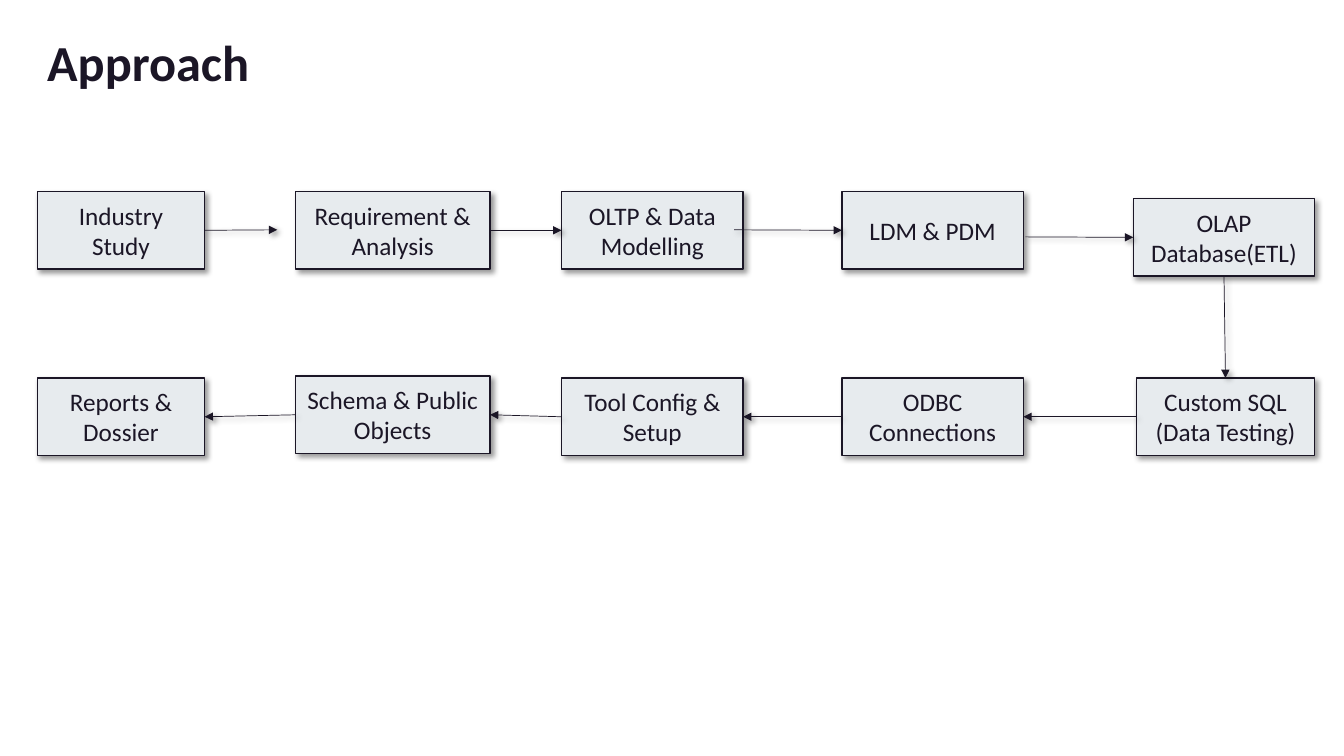
from dataclasses import dataclass

from pptx import Presentation
from pptx.dml.color import RGBColor
from pptx.enum.shapes import MSO_CONNECTOR, MSO_SHAPE
from pptx.enum.text import MSO_ANCHOR, PP_ALIGN
from pptx.oxml import parse_xml
from pptx.oxml.ns import nsdecls
from pptx.oxml.xmlchemy import BaseOxmlElement
from pptx.shapes.autoshape import Shape
from pptx.slide import Slide
from pptx.text.text import _Paragraph
from pptx.util import Emu, Pt

EMU_PER_PX = 9144
INK = RGBColor(0x1B, 0x16, 0x26)
PANEL = RGBColor(0xE7, 0xEB, 0xEE)
FONT = "Calibri"
TOP, LEFT, BOTTOM, RIGHT = range(4)
STEP_HEIGHT = 77
UPPER_ROW, LOWER_ROW = 190, 375


@dataclass(frozen=True)
class Step:
    name: str
    left: int
    top: int
    width: int
    lines: tuple[str, ...]


@dataclass(frozen=True)
class Joint:
    step: str
    side: int


@dataclass(frozen=True)
class Point:
    x: int
    y: int


@dataclass(frozen=True)
class Arrow:
    start: Joint | Point
    end: Joint | Point


STEPS = (
    Step("study", 37, UPPER_ROW, 166, ("Industry Study",)),
    Step("requirement", 293, UPPER_ROW, 193, ("Requirement & Analysis",)),
    Step("oltp", 557, UPPER_ROW, 180, ("OLTP & Data Modelling",)),
    Step("ldm", 835, UPPER_ROW, 180, ("LDM & PDM",)),
    Step("olap", 1124, 197, 180, ("OLAP Database(ETL)",)),
    Step("sql", 1127, LOWER_ROW, 177, ("Custom SQL", "(Data Testing)")),
    Step("odbc", 835, LOWER_ROW, 180, ("ODBC Connections",)),
    Step("config", 557, LOWER_ROW, 180, ("Tool Config & Setup",)),
    Step("schema", 293, 373, 193, ("Schema & Public Objects",)),
    Step("reports", 37, LOWER_ROW, 166, ("Reports & Dossier",)),
)

ARROWS = (
    Arrow(Joint("study", RIGHT), Point(275, 228)),
    Arrow(Joint("requirement", RIGHT), Joint("oltp", LEFT)),
    Arrow(Point(728, 228), Joint("ldm", LEFT)),
    Arrow(Point(1017, 235), Joint("olap", LEFT)),
    Arrow(Joint("olap", BOTTOM), Joint("sql", TOP)),
    Arrow(Joint("sql", LEFT), Joint("odbc", RIGHT)),
    Arrow(Joint("odbc", LEFT), Joint("config", RIGHT)),
    Arrow(Joint("config", LEFT), Joint("schema", RIGHT)),
    Arrow(Joint("schema", LEFT), Joint("reports", RIGHT)),
)


def px(length: int) -> Emu:
    return Emu(length * EMU_PER_PX)


def add_shadow(properties: BaseOxmlElement) -> None:
    properties.append(parse_xml(
        f'<a:effectLst {nsdecls("a")}>'
        '<a:outerShdw blurRad="50800" dist="38100" dir="2700000" algn="tl" rotWithShape="0">'
        '<a:srgbClr val="000000"><a:alpha val="40000"/></a:srgbClr>'
        '</a:outerShdw></a:effectLst>'
    ))


def add_span(para: _Paragraph, text: str, size: int, bold: bool = False) -> None:
    span = para.add_run()
    span.text = text
    span.font.name = FONT
    span.font.size = Pt(size)
    span.font.bold = bold
    span.font.color.rgb = INK


def add_title(page: Slide, text: str) -> None:
    box = page.shapes.add_textbox(px(37), px(26), px(1259), px(59))
    box.text_frame.word_wrap = True
    para = box.text_frame.paragraphs[0]
    para.space_before = Pt(10)
    add_span(para, text, 36, bold=True)


def add_step(page: Slide, step: Step) -> Shape:
    box = page.shapes.add_shape(
        MSO_SHAPE.RECTANGLE, px(step.left), px(step.top), px(step.width), px(STEP_HEIGHT)
    )
    box.fill.solid()
    box.fill.fore_color.rgb = PANEL
    box.line.color.rgb = INK
    box.line.width = Pt(1)
    add_shadow(box.element.spPr)
    frame = box.text_frame
    frame.word_wrap = True
    frame.vertical_anchor = MSO_ANCHOR.MIDDLE
    for index, line in enumerate(step.lines):
        para = frame.add_paragraph() if index else frame.paragraphs[0]
        para.alignment = PP_ALIGN.CENTER
        add_span(para, line, 18)
    return box


def add_arrow(page: Slide, arrow: Arrow, boxes: dict[str, Shape]) -> None:
    connector = page.shapes.add_connector(MSO_CONNECTOR.STRAIGHT, 0, 0, 0, 0)
    match arrow.start:
        case Joint(step, side):
            connector.begin_connect(boxes[step], side)
        case Point(x, y):
            connector.begin_x, connector.begin_y = px(x), px(y)
    match arrow.end:
        case Joint(step, side):
            connector.end_connect(boxes[step], side)
        case Point(x, y):
            connector.end_x, connector.end_y = px(x), px(y)
    connector.line.color.rgb = INK
    connector.line.width = Pt(0.5)
    connector.line._get_or_add_ln().append(
        parse_xml(f'<a:tailEnd {nsdecls("a")} type="triangle"/>')
    )
    add_shadow(connector._element.spPr)


def main() -> None:
    deck = Presentation()
    deck.slide_width, deck.slide_height = px(1333), px(750)
    page = deck.slides.add_slide(deck.slide_layouts[6])
    add_title(page, "Approach")
    boxes = {step.name: add_step(page, step) for step in STEPS}
    for arrow in ARROWS:
        add_arrow(page, arrow, boxes)
    deck.save("out.pptx")


if __name__ == "__main__":
    main()
